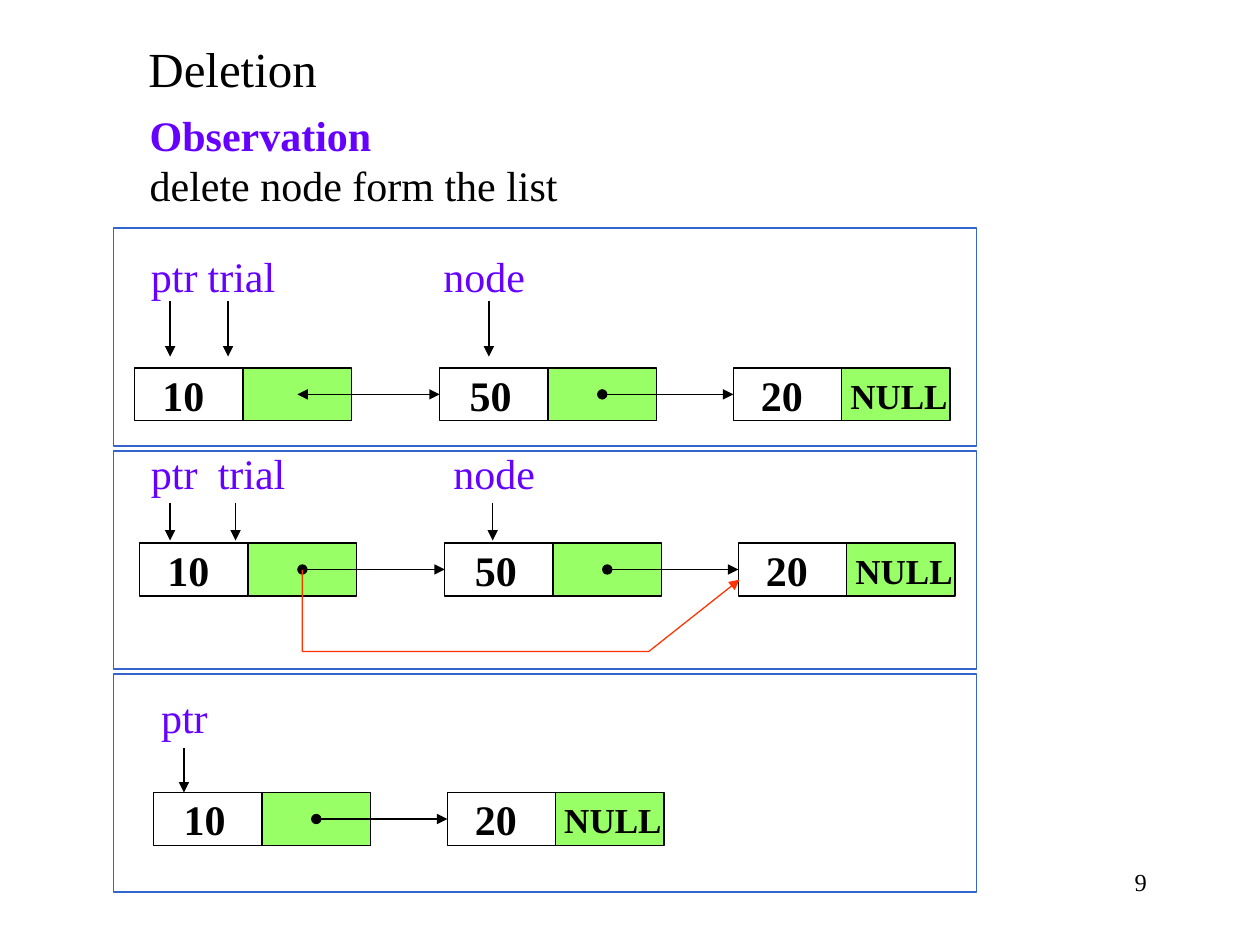
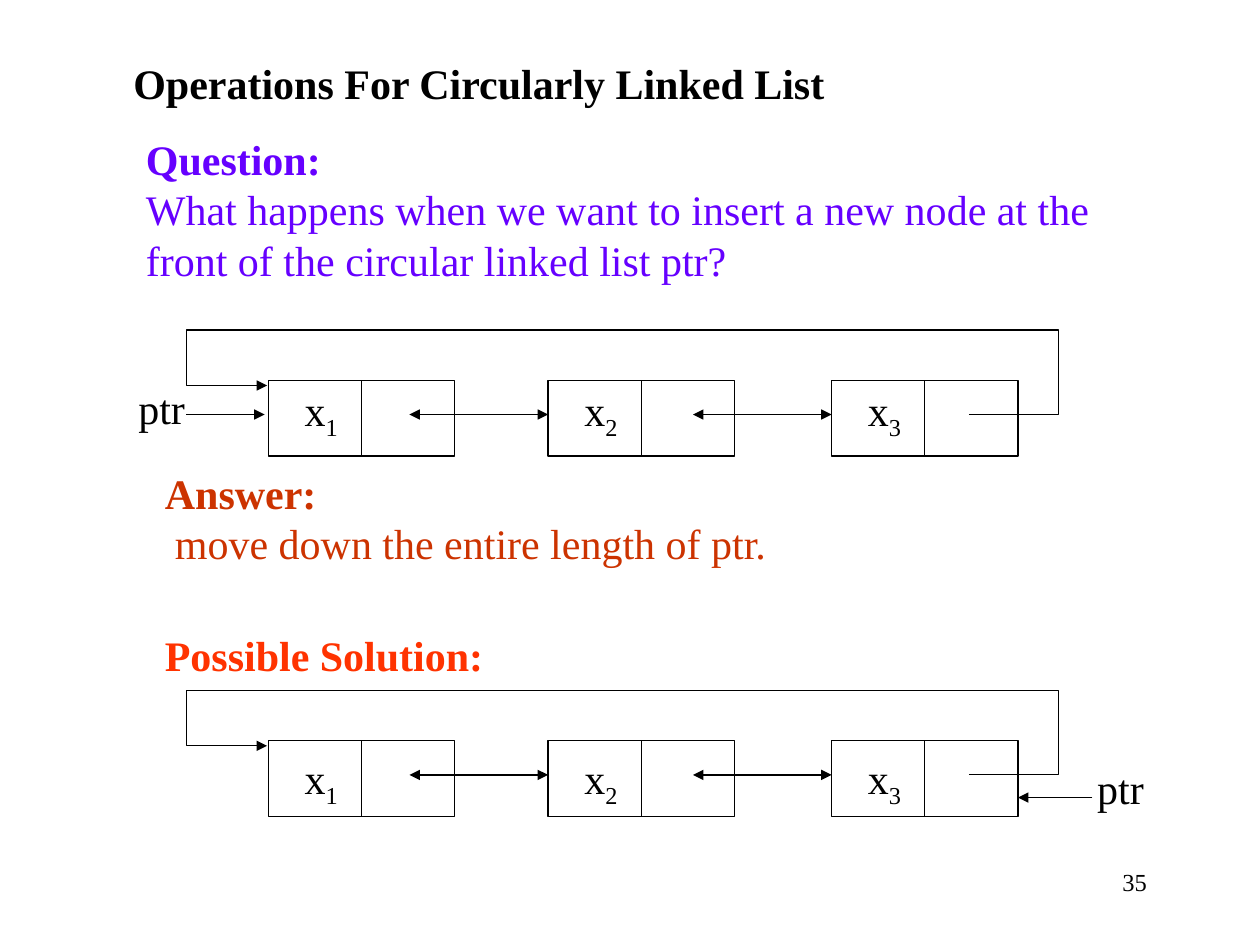
from lxml import etree
from pptx import Presentation
from pptx.dml.color import RGBColor
from pptx.enum.shapes import MSO_CONNECTOR, MSO_SHAPE
from pptx.enum.text import MSO_AUTO_SIZE, PP_ALIGN
from pptx.oxml.ns import qn
from pptx.util import Inches, Pt

LEFT, CENTER, RIGHT = PP_ALIGN.LEFT, PP_ALIGN.CENTER, PP_ALIGN.RIGHT
RECTANGLE = MSO_SHAPE.RECTANGLE
STRAIGHT = MSO_CONNECTOR.STRAIGHT
FIT_TEXT = MSO_AUTO_SIZE.SHAPE_TO_FIT_TEXT
TOP_SIDE, LEFT_SIDE, BOTTOM_SIDE = 0, 1, 2

FONT = "Times New Roman"
BLACK, PURPLE, GREEN, BLUE = "000000", "6600FF", "99FF66", "3366CC"
RED, RUST = "FF3300", "CC3300"
LINE_WIDTH = 0.75

DELETION_TEXTS = [
    ((1.08, 0.26, 1.6, 0.57), [("Deletion", {"size": 28})]),
    ((1.09, 0.82, 3.44, 0.9), [
        ("Observation", {"color": PURPLE, "bold": True}),
        ("delete node form the list", {}),
    ]),
]

PANEL_LEFT, PANEL_WIDTH, PANEL_HEIGHT = 0.9, 6.85, 1.73
PANEL_TOP, PANEL_STEP = 1.81, 1.77
CELL_WIDTH, CELL_HEIGHT = 0.86, 0.42
NAME_WIDTHS = {"ptr": 0.57, "trial": 0.78, "node": 0.9}
STAGES = [
    {
        "node_top": 2.92,
        "nodes": [(1.07, "10", 0.12), (3.49, "50", 0.14), (5.82, "20", 0.12)],
        "link_heads": ["triangle", "oval"],
        "name_top": 1.94,
        "names": [("ptr", 1.1), ("trial", 1.55), ("node", 3.42)],
        "pointers": [1.35, 1.81, 3.88],
        "pointer_span": (2.39, 2.83),
    },
    {
        "node_top": 4.31,
        "nodes": [(1.11, "10", 0.12), (3.53, "50", 0.14), (5.86, "20", 0.12)],
        "link_heads": ["oval", "oval"],
        "name_top": 3.5,
        "names": [("ptr", 1.1), ("trial", 1.63), ("node", 3.5)],
        "pointers": [1.35, 1.87, 3.91],
        "pointer_span": (3.99, 4.29),
    },
    {
        "node_top": 6.29,
        "nodes": [(1.22, "10", 0.14), (3.55, "20", 0.12)],
        "link_heads": ["oval"],
        "name_top": 5.44,
        "names": [("ptr", 1.18)],
        "pointers": [1.46],
        "pointer_span": (5.94, 6.29),
    },
]
BYPASS = [(2.4, 4.52), (2.4, 5.17), (5.15, 5.17), (5.87, 4.6)]

CIRCULAR_TEXTS = [
    ((0.96, 0.41, 5.7, 0.5),
     [("Operations For Circularly Linked List", {"bold": True})]),
    ((1.06, 1.01, 7.77, 1.3), [
        ("Question:", {"color": PURPLE, "bold": True}),
        ("What happens when we want to insert a new node at the", {"color": PURPLE}),
        ("front of the circular linked list ptr?", {"color": PURPLE}),
    ]),
    ((1.21, 3.66, 4.99, 0.9), [
        ("Answer:", {"color": RUST, "bold": True}),
        ("move down the entire length of ptr.", {"color": RUST, "indent": 0.08}),
    ]),
    ((1.21, 4.95, 2.73, 0.5),
     [("Possible Solution:", {"color": RED, "bold": True})]),
]

RING_NODES = [(2.13, "1"), (4.35, "2"), (6.6, "3")]
RING_WIDTH, RING_HEIGHT = 1.48, 0.6
RING_LOOP = [(7.69, 0.27), (8.4, 0.27), (8.4, -0.4),
             (1.48, -0.4), (1.48, 0.04), (2.12, 0.04)]
RINGS = [
    {"top": 3.02, "label_top": 3.0, "ptr": (1.0, 2.99),
     "arrow": [(1.48, 3.29), (2.1, 3.29)]},
    {"top": 5.88, "label_top": 5.92, "ptr": (8.61, 6.0),
     "arrow": [(8.67, 6.33), (8.08, 6.33)]},
]


def rgb(value):
    return RGBColor.from_string(value)


def add_span(para, text, size=24, color=BLACK, bold=False, subscript=False):
    span = para.add_run()
    span.text = text
    formats = {"name": FONT, "size": Pt(size), "bold": bold}
    for name, value in formats.items():
        setattr(span.font, name, value)
    span.font.color.rgb = rgb(color)
    if subscript:
        span.font._element.set("baseline", "-25000")


def add_text(page, place, lines, align=LEFT, wrap=False):
    box = page.shapes.add_textbox(*map(Inches, place))
    frame = box.text_frame
    frame.word_wrap = wrap
    if not wrap:
        frame.auto_size = FIT_TEXT
    for index, (text, style) in enumerate(lines):
        para = frame.add_paragraph() if index else frame.paragraphs[0]
        para.alignment = align
        style = dict(style)
        indent = style.pop("indent", 0)
        if indent:
            para._p.get_or_add_pPr().set("marL", str(Inches(indent)))
        add_span(para, text, **style)
    return box


def style_line(shape, color, head=None, tail=None):
    shape.line.color.rgb = rgb(color)
    shape.line.width = Pt(LINE_WIDTH)
    outline = shape.line._get_or_add_ln()
    for tag, kind in (("a:headEnd", head), ("a:tailEnd", tail)):
        if kind:
            etree.SubElement(outline, qn(tag), type=kind)


def add_rectangle(page, place, fill=None, color=BLACK):
    box = page.shapes.add_shape(RECTANGLE, *map(Inches, place))
    box.shadow.inherit = False
    if fill:
        box.fill.solid()
        box.fill.fore_color.rgb = rgb(fill)
    else:
        box.fill.background()
    style_line(box, color)
    return box


def add_line(page, start, end, head=None, tail=None):
    line = page.shapes.add_connector(STRAIGHT, *map(Inches, (*start, *end)))
    style_line(line, BLACK, head, tail)
    etree.SubElement(line._element.spPr, qn("a:effectLst"))
    return line


def add_route(page, points, color):
    corners = [(Inches(x), Inches(y)) for x, y in points]
    builder = page.shapes.build_freeform(*corners[0], scale=1.0)
    builder.add_line_segments(corners[1:], close=False)
    route = builder.convert_to_shape()
    route.shadow.inherit = False
    route.fill.background()
    style_line(route, color, tail="triangle")


def add_page(deck, texts, number):
    page = deck.slides.add_slide(deck.slide_layouts[6])
    for place, lines in texts:
        add_text(page, place, lines)
    add_text(page, (7.12, 6.83, 2.08, 0.5), [(number, {"size": 14})], RIGHT, wrap=True)
    return page


def draw_stage(page, index, stage):
    add_rectangle(page, (PANEL_LEFT, PANEL_TOP + index * PANEL_STEP,
                         PANEL_WIDTH, PANEL_HEIGHT), color=BLUE)
    top = stage["node_top"]
    middle = top + CELL_HEIGHT / 2
    value_cells = []
    for left, value, inset in stage["nodes"]:
        value_cells.append(add_rectangle(page, (left, top, CELL_WIDTH, CELL_HEIGHT)))
        add_rectangle(page, (left + CELL_WIDTH, top, CELL_WIDTH, CELL_HEIGHT), GREEN)
        add_text(page, (left + inset, top - 0.04, 0.53, 0.5),
                 [(value, {"bold": True})], CENTER)
    last_left = stage["nodes"][-1][0]
    add_text(page, (last_left + CELL_WIDTH - 0.03, top, 0.97, 0.44),
             [("NULL", {"size": 20, "bold": True})], CENTER)

    for node, next_cell, head in zip(stage["nodes"], value_cells[1:], stage["link_heads"]):
        start = node[0] + 1.5 * CELL_WIDTH
        link = add_line(page, (start, middle), (start + 1, middle), head, "triangle")
        link.end_connect(next_cell, LEFT_SIDE)

    for name, left in stage["names"]:
        add_text(page, (left, stage["name_top"], NAME_WIDTHS[name], 0.5),
                 [(name, {"color": PURPLE})])
    start, end = stage["pointer_span"]
    for x in stage["pointers"]:
        add_line(page, (x, start), (x, end), tail="triangle")


def draw_ring(page, ring):
    top = ring["top"]
    link_y = top + 0.27
    for left, subscript in RING_NODES:
        box = add_rectangle(page, (left, top, RING_WIDTH, RING_HEIGHT))
        center = left + RING_WIDTH / 2
        divider = add_line(page, (center, top), (center, top + RING_HEIGHT))
        divider.begin_connect(box, TOP_SIDE)
        divider.end_connect(box, BOTTOM_SIDE)
        label = add_text(page, (left + 0.19, ring["label_top"], 0.46, 0.56),
                         [("x", {})], CENTER)
        add_span(label.text_frame.paragraphs[0], subscript, subscript=True)
    for left, _ in RING_NODES[1:]:
        add_line(page, (left - 1.1, link_y), (left, link_y), "triangle", "triangle")
    add_route(page, [(x, top + y) for x, y in RING_LOOP], BLACK)
    add_text(page, (*ring["ptr"], 0.57, 0.5), [("ptr", {})])
    add_line(page, *ring["arrow"], tail="triangle")


def main():
    deck = Presentation()
    deck.slide_width, deck.slide_height = Inches(10), Inches(7.5)

    deletion = add_page(deck, DELETION_TEXTS, "9")
    for index, stage in enumerate(STAGES):
        draw_stage(deletion, index, stage)
    add_route(deletion, BYPASS, RED)

    circular = add_page(deck, CIRCULAR_TEXTS, "35")
    for ring in RINGS:
        draw_ring(circular, ring)

    deck.save("out.pptx")


if __name__ == "__main__":
    main()
